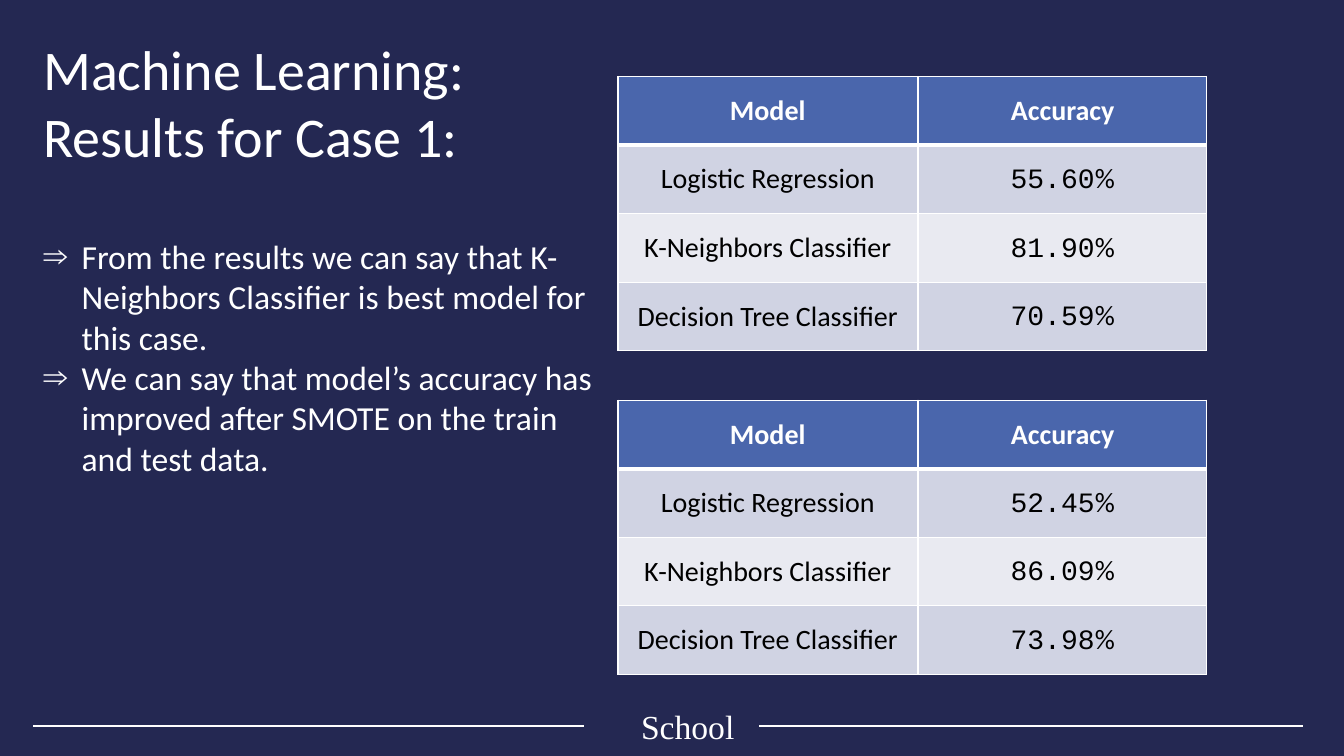
from dataclasses import dataclass

from lxml import etree
from pptx import Presentation
from pptx.dml.color import RGBColor
from pptx.enum.shapes import MSO_CONNECTOR
from pptx.enum.text import MSO_ANCHOR, MSO_AUTO_SIZE, PP_ALIGN
from pptx.oxml.ns import qn
from pptx.util import Inches, Pt

STRAIGHT = MSO_CONNECTOR.STRAIGHT
TOP, MIDDLE = MSO_ANCHOR.TOP, MSO_ANCHOR.MIDDLE
LEFT, CENTER = PP_ALIGN.LEFT, PP_ALIGN.CENTER
NO_AUTOFIT = MSO_AUTO_SIZE.NONE

NAVY, BLUE, WHITE, BLACK = "242852", "4A66AC", "FFFFFF", "000000"
BANDS = ("D0D3E3", "E9EAF1")
BODY_FONT, NUMBER_FONT, FOOTER_FONT = "Calibri", "Courier New", "Times New Roman"

MARGIN = 0.33
TEXT_WIDTH = 5.65
ROW_HEIGHT = 0.68
MODEL_LEFT, MODEL_WIDTH = 6.13, 2.97
ACCURACY_LEFT, ACCURACY_WIDTH = 9.11, 2.86
MODELS = ("Logistic Regression", "K-Neighbors Classifier", "Decision Tree Classifier")
BULLETS = (
    "From the results we can say that K-Neighbors Classifier is best model for this case.",
    "We can say that model’s accuracy has improved after SMOTE on the train and test data.",
)


@dataclass
class Result:
    top: float
    accuracies: tuple[str, ...]


@dataclass
class Rule:
    start: float
    end: float


RESULTS = (
    Result(0.76, ("55.60", "81.90", "70.59")),
    Result(3.97, ("52.45", "86.09", "73.98")),
)
RULES = (Rule(MARGIN, 5.79), Rule(7.53, 12.92))


def rgb(color: str) -> RGBColor:
    return RGBColor.from_string(color)


def add_text(p, text: str, *, size: float = 20, font: str = BODY_FONT,
             color: str = WHITE, bold: bool = False, align=LEFT) -> None:
    p.alignment = align
    r = p.add_run()
    r.text = text
    r.font.size, r.font.name, r.font.bold = Pt(size), font, bold
    r.font.color.rgb = rgb(color)


def place(sp, left: float, top: float, width: float, height: float):
    """Move a text shape and return its prepared text frame."""
    sp.left, sp.top = Inches(left), Inches(top)
    sp.width, sp.height = Inches(width), Inches(height)
    tf = sp.text_frame
    tf.word_wrap, tf.auto_size, tf.vertical_anchor = True, NO_AUTOFIT, TOP
    return tf


def add_bullet(p, char: str, indent: float) -> None:
    pPr = p._p.get_or_add_pPr()
    pPr.set("marL", str(Inches(indent)))
    pPr.set("indent", str(-Inches(indent)))
    etree.SubElement(pPr, qn("a:buChar")).set("char", char)


def add_borders(cell, top: float, bottom: float) -> None:
    tcPr = cell._tc.get_or_add_tcPr()
    for side, width in (("L", 1), ("R", 1), ("T", top), ("B", bottom)):
        ln = etree.SubElement(tcPr, qn(f"a:ln{side}"))
        ln.set("w", str(Pt(width)))
        fill = etree.SubElement(ln, qn("a:solidFill"))
        etree.SubElement(fill, qn("a:srgbClr")).set("val", WHITE)


def add_column(slide, left: float, top: float, width: float,
               heading: str, values: tuple[str, ...], numeric: bool = False) -> None:
    count = len(values) + 1
    table = slide.shapes.add_table(count, 1, Inches(left), Inches(top), Inches(width),
                                   Inches(count * ROW_HEIGHT)).table
    table.first_row = table.horz_banding = False
    for i, text in enumerate((heading, *values)):
        table.rows[i].height = Inches(ROW_HEIGHT)
        cell = table.cell(i, 0)
        cell.vertical_anchor = MIDDLE
        add_borders(cell, top=3 if i == 1 else 1, bottom=3 if i == 0 else 1)
        cell.fill.solid()
        cell.fill.fore_color.rgb = rgb(BANDS[(i - 1) % 2] if i else BLUE)
        p = cell.text_frame.paragraphs[0]
        if i == 0:
            add_text(p, text, bold=True, align=CENTER)
        elif numeric:
            add_text(p, text, font=NUMBER_FONT, color=BLACK, align=CENTER)
            add_text(p, "%", color=BLACK, align=CENTER)
        else:
            add_text(p, text, color=BLACK, align=CENTER)


def add_rule(slide, rule: Rule, y: float) -> None:
    line = slide.shapes.add_connector(STRAIGHT, Inches(rule.start), Inches(y),
                                      Inches(rule.end), Inches(y))
    line.line.color.rgb = rgb(WHITE)
    line.line.width = Pt(1.5)
    etree.SubElement(line._element.spPr, qn("a:effectLst"))


def main() -> None:
    prs = Presentation()
    prs.slide_width, prs.slide_height = Inches(13.33), Inches(7.5)
    slide = prs.slides.add_slide(prs.slide_layouts[1])
    slide.background.fill.solid()
    slide.background.fill.fore_color.rgb = rgb(NAVY)

    # Title and findings
    tf = place(slide.shapes.title, MARGIN, 0.29, TEXT_WIDTH, 1.46)
    add_text(tf.paragraphs[0], "Machine Learning: Results for Case 1:", size=40)
    tf = place(slide.placeholders[1], MARGIN, 2.29, TEXT_WIDTH, 2.51)
    for i, text in enumerate(BULLETS):
        p = tf.add_paragraph() if i else tf.paragraphs[0]
        p.space_before = Pt(0)
        add_bullet(p, "⇒", 0.38)
        add_text(p, text, size=24)

    # Result tables
    for result in RESULTS:
        add_column(slide, MODEL_LEFT, result.top, MODEL_WIDTH, "Model", MODELS)
        add_column(slide, ACCURACY_LEFT, result.top, ACCURACY_WIDTH, "Accuracy",
                   result.accuracies, numeric=True)

    # Footer
    for rule in RULES:
        add_rule(slide, rule, 7.2)
    tf = place(slide.shapes.add_textbox(0, 0, 0, 0), 6.26, 6.95, 1.27, 0.5)
    add_text(tf.paragraphs[0], "School", size=24, font=FOOTER_FONT)

    prs.save("out.pptx")


if __name__ == "__main__":
    main()
